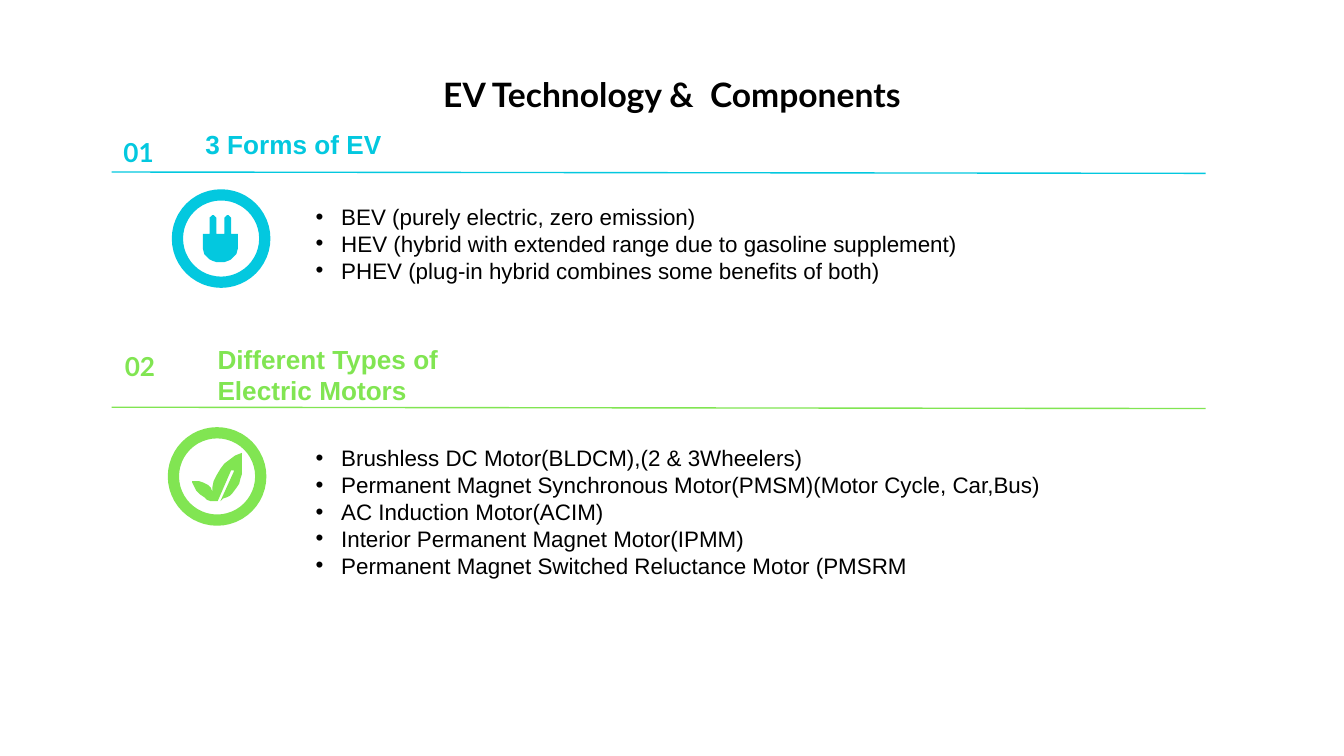
from dataclasses import dataclass

from lxml import etree
from pptx import Presentation
from pptx.dml.color import RGBColor
from pptx.enum.shapes import MSO_CONNECTOR, MSO_SHAPE
from pptx.enum.text import MSO_ANCHOR, PP_ALIGN
from pptx.oxml.ns import qn
from pptx.util import Inches, Pt

OVAL = MSO_SHAPE.OVAL
STRAIGHT = MSO_CONNECTOR.STRAIGHT
TOP, MIDDLE = MSO_ANCHOR.TOP, MSO_ANCHOR.MIDDLE
LEFT, CENTER = PP_ALIGN.LEFT, PP_ALIGN.CENTER


@dataclass(frozen=True)
class Theme:
    cyan: RGBColor = RGBColor(0x03, 0xC8, 0xDF)
    green: RGBColor = RGBColor(0x81, 0xE5, 0x52)
    black: RGBColor = RGBColor(0, 0, 0)
    body: str = "Arial"
    display: str = "Lato"
    title: int = 18
    head: int = 14
    text: int = 12


THEME = Theme()

# Icon outlines, in hundredths of an inch from the left top of each icon.
PLUG_HALF = [
    (7, 0), (6, 1), (5, 2), (5, 14), (0, 14), (0, 22), (0, 25), (1, 29),
    (3, 31), (5, 33), (7, 34), (10, 35),
]
PLUG_GAP = [(18, 0), (17, 1), (16, 2), (16, 14), (10, 14), (10, 2), (9, 1),
            (8, 0)]
PLUG = PLUG_HALF + [(26 - x, y) for x, y in reversed(PLUG_HALF)] + PLUG_GAP
LEAF = [
    (37, 0), (32, 2), (28, 5), (24, 8), (21, 12), (18, 17), (16, 21),
    (15, 26), (15, 32), (15, 29), (14, 26), (12, 24), (10, 23), (8, 22),
    (5, 21), (0, 21), (0, 22), (1, 24), (3, 28), (6, 31), (9, 33), (11, 35),
    (14, 36), (19, 36), (29, 13), (30, 13), (31, 13), (31, 14), (21, 36),
    (23, 34), (26, 33), (28, 32), (30, 30), (33, 26), (35, 23), (36, 19),
    (37, 16), (37, 8),
]

FORMS = [
    "BEV (purely electric, zero emission)",
    "HEV (hybrid with extended range due to gasoline supplement)",
    "PHEV (plug-in hybrid combines some benefits of both)",
]
MOTORS = [
    "Brushless DC Motor(BLDCM),(2 & 3Wheelers)",
    "Permanent Magnet Synchronous Motor(PMSM)(Motor Cycle, Car,Bus)",
    "AC Induction Motor(ACIM)",
    "Interior Permanent Magnet Motor(IPMM)",
    "Permanent Magnet Switched Reluctance Motor (PMSRM",
]


def add_bullet(para):
    props = para._p.get_or_add_pPr()
    props.set("marL", str(Inches(0.19)))
    props.set("indent", str(-Inches(0.19)))
    color = etree.SubElement(props, qn("a:buClr"))
    etree.SubElement(color, qn("a:srgbClr")).set("val", str(THEME.black))
    etree.SubElement(props, qn("a:buFont")).set("typeface", THEME.body)
    etree.SubElement(props, qn("a:buChar")).set("char", "•")


def write(shape, lines, size=THEME.text, font=THEME.body, color=THEME.black,
          bold=False, align=LEFT, anchor=MIDDLE, bullet=False):
    frame = shape.text_frame
    frame.word_wrap = True
    frame.vertical_anchor = anchor
    frame.margin_left = frame.margin_right = Inches(0.1)
    frame.margin_top = frame.margin_bottom = Inches(0.1)
    for i, line in enumerate(lines):
        para = frame.add_paragraph() if i else frame.paragraphs[0]
        if bullet:
            add_bullet(para)
        para.alignment = align
        run = para.add_run()
        run.text = line
        run.font.size = Pt(size)
        run.font.name = font
        run.font.bold = bold
        run.font.color.rgb = color


def add_text(slide, box, lines, **style):
    write(slide.shapes.add_textbox(*map(Inches, box)), lines, **style)


def add_title(slide, text):
    title = slide.shapes.title
    title.left, title.top = Inches(0.5), Inches(0.45)
    title.width, title.height = Inches(9), Inches(0.53)
    write(title, [text], size=THEME.title, font=THEME.display, bold=True,
          align=CENTER, anchor=TOP)


def add_rule(slide, y, color):
    ends = map(Inches, (0.83, y, 8.97, y + 0.01))
    rule = slide.shapes.add_connector(STRAIGHT, *ends)
    rule.line.color.rgb = color
    rule.line.width = Pt(0.75)
    etree.SubElement(rule._element.spPr, qn("a:effectLst"))


def add_icon(slide, ring_at, glyph_at, points, color):
    """Group a glyph with the ring around it."""
    shapes = slide.shapes.add_group_shape().shapes
    pen = shapes.build_freeform(*points[0], scale=Inches(0.01))
    pen.add_line_segments(points[1:], close=True)
    glyph = pen.convert_to_shape(*map(Inches, glyph_at))
    glyph.fill.solid()
    glyph.fill.fore_color.rgb = color
    glyph.line.fill.background()
    ring = shapes.add_shape(OVAL, *map(Inches, (*ring_at, 0.65, 0.65)))
    ring.fill.background()
    ring.line.color.rgb = color
    ring.line.width = Pt(6)
    for shape in (glyph, ring):
        shape.shadow.inherit = False


def add_part(slide, color, num, num_at, head, head_at, rule_y, items, list_y,
             list_h):
    """Add a numbered heading, its rule and its bullet list."""
    style = dict(size=THEME.head, color=color, bold=True)
    add_text(slide, (*num_at, 0.82, 0.31), [num], font=THEME.display, **style)
    add_text(slide, (*head_at, 1.88, 0.25), [head], **style)
    add_rule(slide, rule_y, color)
    add_text(slide, (2.25, list_y, 6.71, list_h), items, bullet=True)


def main():
    deck = Presentation()
    deck.slide_width = Inches(10)
    deck.slide_height = deck.slide_width * 9 // 16
    slide = deck.slides.add_slide(deck.slide_layouts[5])
    add_title(slide, "EV Technology &  Components")
    add_part(slide, THEME.cyan, "01", (0.82, 0.98), "3 Forms of EV",
             (1.43, 0.95), 1.28, FORMS, 1.36, 0.9)
    add_icon(slide, (1.32, 1.45), (1.51, 1.6), PLUG, THEME.cyan)
    add_part(slide, THEME.green, "02", (0.83, 2.57),
             "Different Types of Electric Motors", (1.52, 2.66), 3.03,
             MOTORS, 3.17, 1.27)
    add_icon(slide, (1.29, 3.22), (1.43, 3.37), LEAF, THEME.green)
    deck.save("out.pptx")


if __name__ == "__main__":
    main()
